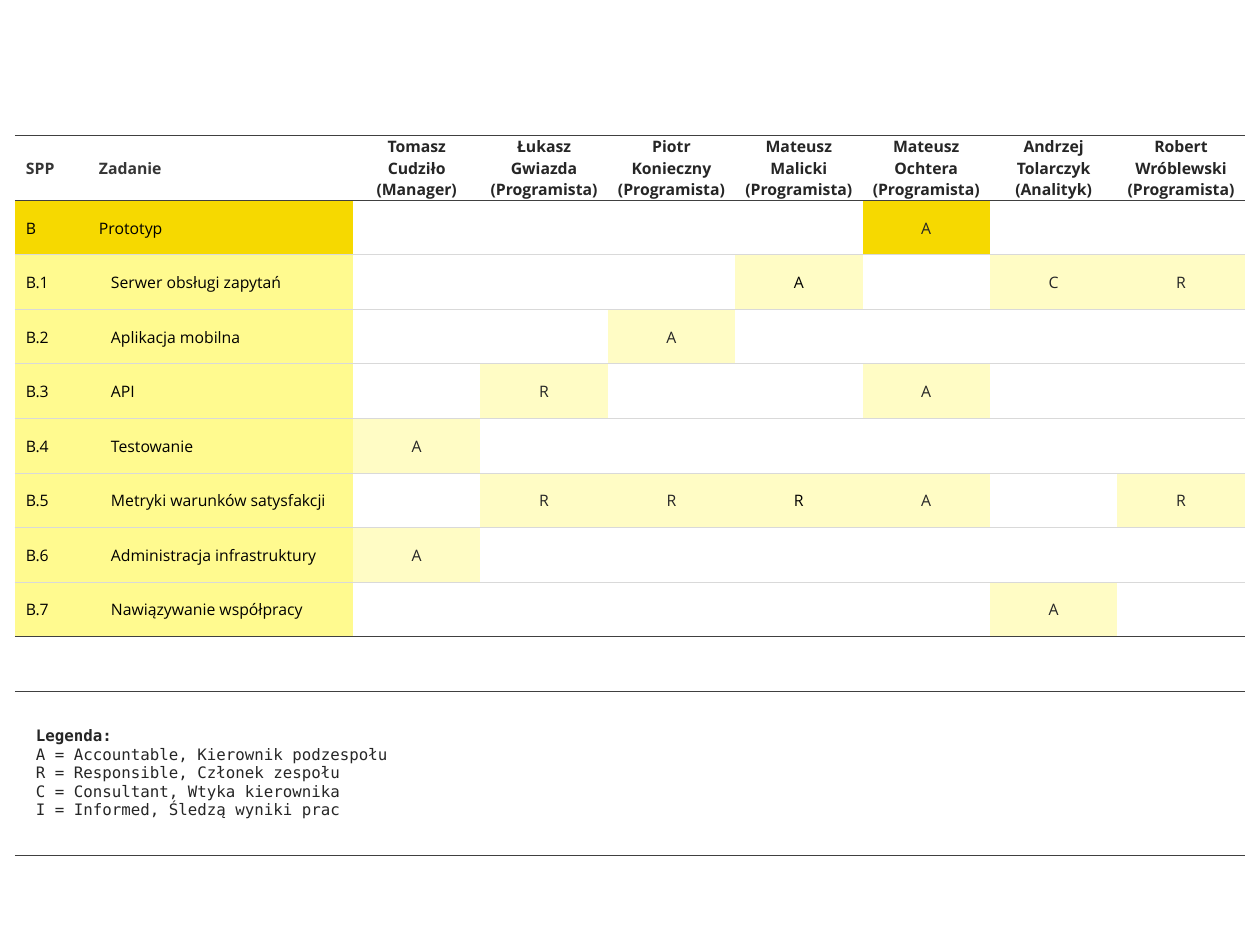
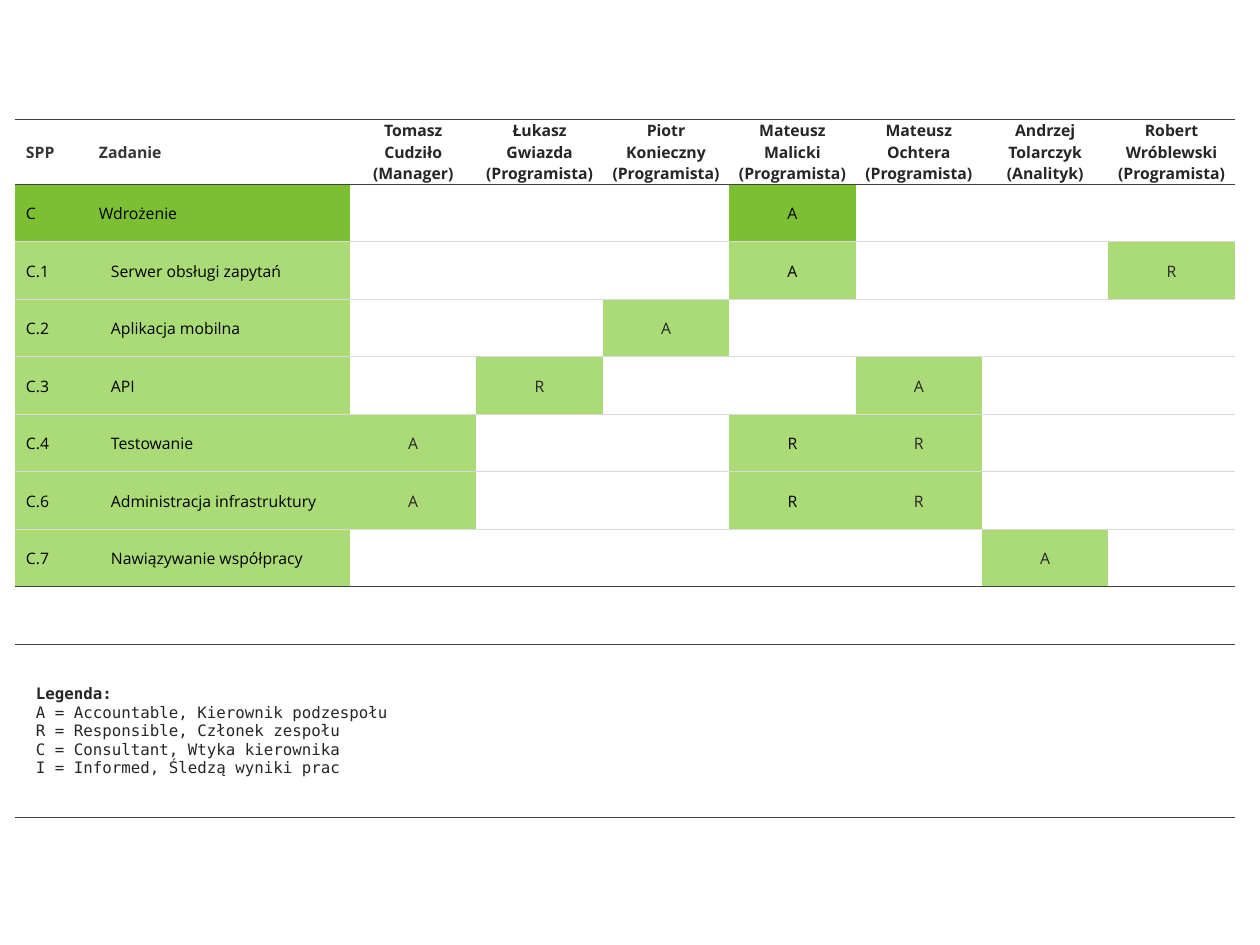
from dataclasses import dataclass

from lxml.etree import SubElement
from pptx import Presentation
from pptx.dml.color import RGBColor
from pptx.enum.text import MSO_ANCHOR, PP_ALIGN
from pptx.oxml.ns import qn
from pptx.util import Inches, Pt

PIXELS_PER_INCH = 126


@dataclass(frozen=True)
class Theme:
    """Colours, fonts and sizes shared by both matrices."""
    ink: str = "000000"
    soft_ink: str = "262626"
    label_ink: str = "363636"
    rule: str = "404040"
    hairline: str = "D9D9D9"
    font: str = "Open Sans"
    legend_font: str = "DejaVu Sans Mono"
    size: int = 9
    rule_width: float = 0.5
    plain_style: str = "{2D5ABB26-0587-4C30-8999-92F81FD0307C}"


@dataclass(frozen=True)
class Matrix:
    """One responsibility matrix: place, fills and task rows."""
    top: int
    task_width: int
    people_width: int
    rows_height: int
    legend_height: int
    group_fill: str
    task_fill: str
    duty_fill: str
    rows: tuple


THEME = Theme()
LEFT = 15
CODE_WIDTH = 83
CODE_INSET, TASK_INSET, SUBTASK_INSET, LEGEND_INSET = 11, 1, 13, 21
INK_PERSON = 3

PEOPLE = (
    ("Tomasz\vCudziło", "Manager"),
    ("Łukasz\vGwiazda", "Programista"),
    ("Piotr\vKonieczny", "Programista"),
    ("Mateusz\vMalicki", "Programista"),
    ("Mateusz\vOchtera", "Programista"),
    ("Andrzej\vTolarczyk", "Analityk"),
    ("Robert\vWróblewski", "Programista"),
)

LEGEND = (
    "A = Accountable, Kierownik podzespołu",
    "R = Responsible, Członek zespołu",
    "C = Consultant, Wtyka kierownika",
    "I = Informed, Śledzą wyniki prac",
)

PROTOTYPE = Matrix(
    top=135, task_width=255, people_width=892, rows_height=491, legend_height=164,
    group_fill="F6D900", task_fill="FFFA8F", duty_fill="FFFCC5",
    rows=(
        ("B", "Prototyp", "....A.."),
        ("B.1", "Serwer obsługi zapytań", "...A.CR"),
        ("B.2", "Aplikacja mobilna", "..A...."),
        ("B.3", "API", ".R..A.."),
        ("B.4", "Testowanie", "A......"),
        ("B.5", "Metryki warunków satysfakcji", ".RRRA.R"),
        ("B.6", "Administracja infrastruktury", "A......"),
        ("B.7", "Nawiązywanie współpracy", ".....A."),
    ),
)

DEPLOYMENT = Matrix(
    top=119, task_width=252, people_width=885, rows_height=460, legend_height=173,
    group_fill="7CBF33", task_fill="ABDB77", duty_fill="ABDB77",
    rows=(
        ("C", "Wdrożenie", "...A..."),
        ("C.1", "Serwer obsługi zapytań", "...A..R"),
        ("C.2", "Aplikacja mobilna", "..A...."),
        ("C.3", "API", ".R..A.."),
        ("C.4", "Testowanie", "A..RR.."),
        ("C.6", "Administracja infrastruktury", "A..RR.."),
        ("C.7", "Nawiązywanie współpracy", ".....A."),
    ),
)


def px(length):
    """Turn picture pixels into EMU."""
    return Inches(length / PIXELS_PER_INCH)


def style_paragraph(paragraph, ink, font=THEME.font, bold=None, centred=False):
    """Set the font and alignment of a paragraph."""
    paragraph.font.name = font
    paragraph.font.size = Pt(THEME.size)
    paragraph.font.color.rgb = RGBColor.from_string(ink)
    paragraph.font.bold = bold
    paragraph.alignment = PP_ALIGN.CENTER if centred else PP_ALIGN.LEFT


def set_insets(cell, left=TASK_INSET):
    """Centre the text of a cell vertically and set its margins."""
    cell.vertical_anchor = MSO_ANCHOR.MIDDLE
    cell.margin_left = px(left)
    cell.margin_right = cell.margin_top = px(1)
    cell.margin_bottom = 0


def write_cell(cell, text, ink, left=TASK_INSET, bold=False, centred=False):
    """Write text in one style into a cell."""
    set_insets(cell, left)
    cell.text_frame.text = text
    for paragraph in cell.text_frame.paragraphs:
        style_paragraph(paragraph, ink, bold=bold, centred=centred)


def paint(cell, colour):
    """Fill a cell with one colour."""
    cell.fill.solid()
    cell.fill.fore_color.rgb = RGBColor.from_string(colour)


def rule_cell(cell, top, bottom):
    """Draw the upper and lower border of a cell."""
    properties = cell._tc.get_or_add_tcPr()
    for position, (tag, colour) in enumerate((("a:lnT", top), ("a:lnB", bottom))):
        line = SubElement(properties, qn(tag), w=str(Pt(THEME.rule_width)))
        solid = SubElement(line, qn("a:solidFill"))
        SubElement(solid, qn("a:srgbClr"), val=colour)
        properties.insert(position, line)


def fill_header(table):
    """Write the column labels and the people with their roles."""
    write_cell(table.cell(0, 0), "SPP", THEME.label_ink, CODE_INSET, bold=True)
    write_cell(table.cell(0, 1), "Zadanie", THEME.label_ink, bold=True)
    for column, (person, role) in enumerate(PEOPLE, start=2):
        write_cell(table.cell(0, column), f"{person}\n({role})", THEME.soft_ink,
                   bold=True, centred=True)


def fill_task(table, row, matrix):
    """Write one task and the duties of its people."""
    code, task, duties = matrix.rows[row - 1]
    is_group = row == 1
    label_fill = matrix.group_fill if is_group else matrix.task_fill
    duty_fill = matrix.group_fill if is_group else matrix.duty_fill
    write_cell(table.cell(row, 0), code, THEME.ink, CODE_INSET)
    write_cell(table.cell(row, 1), task, THEME.ink,
               TASK_INSET if is_group else SUBTASK_INSET)
    for column in range(2):
        paint(table.cell(row, column), label_fill)
    for person, duty in enumerate(duties):
        if duty != ".":
            cell = table.cell(row, person + 2)
            ink = THEME.ink if person == INK_PERSON else THEME.soft_ink
            write_cell(cell, duty, ink, centred=True)
            paint(cell, duty_fill)


def fill_legend(table, row):
    """Merge the last row and write the legend into it."""
    cell = table.cell(row, 0)
    cell.merge(table.cell(row, len(table.columns) - 1))
    set_insets(cell, LEGEND_INSET)
    paragraph = cell.text_frame.paragraphs[0]
    style_paragraph(paragraph, THEME.soft_ink, THEME.legend_font)
    heading = paragraph.add_run()
    heading.text = "Legenda:"
    heading.font.bold = True
    for meaning in LEGEND:
        paragraph.add_line_break()
        paragraph.add_run().text = meaning


def rule_table(table, task_count):
    """Rule the table: hairlines between tasks, dark lines elsewhere."""
    for row in range(len(table.rows)):
        top = THEME.hairline if 1 < row <= task_count else THEME.rule
        bottom = THEME.hairline if 0 < row < task_count else THEME.rule
        for column in range(len(table.columns)):
            rule_cell(table.cell(row, column), top, bottom)


def add_matrix(slide, matrix):
    """Add a responsibility matrix with its legend."""
    task_count = len(matrix.rows)
    pitch = matrix.rows_height / (task_count + 1)
    heights = [pitch] * (task_count + 2) + [matrix.legend_height]
    person_width = matrix.people_width / len(PEOPLE)
    widths = [CODE_WIDTH, matrix.task_width] + [person_width] * len(PEOPLE)
    frame = slide.shapes.add_table(len(heights), len(widths), px(LEFT), px(matrix.top),
                                   px(sum(widths)), px(sum(heights)))
    table = frame.table
    table.first_row = table.horz_banding = False
    table._tbl.tblPr.find(qn("a:tableStyleId")).text = THEME.plain_style
    for column, width in zip(table.columns, widths):
        column.width = px(width)
    for row, height in zip(table.rows, heights):
        row.height = px(height)
    fill_header(table)
    for row in range(1, task_count + 1):
        fill_task(table, row, matrix)
    fill_legend(table, task_count + 2)
    rule_table(table, task_count)


def main():
    """Build both slides and save the presentation."""
    presentation = Presentation()
    presentation.slide_width = Inches(10)
    presentation.slide_height = Inches(7.5)
    blank_layout = presentation.slide_layouts[6]
    for matrix in (PROTOTYPE, DEPLOYMENT):
        add_matrix(presentation.slides.add_slide(blank_layout), matrix)
    presentation.save("out.pptx")


main()
